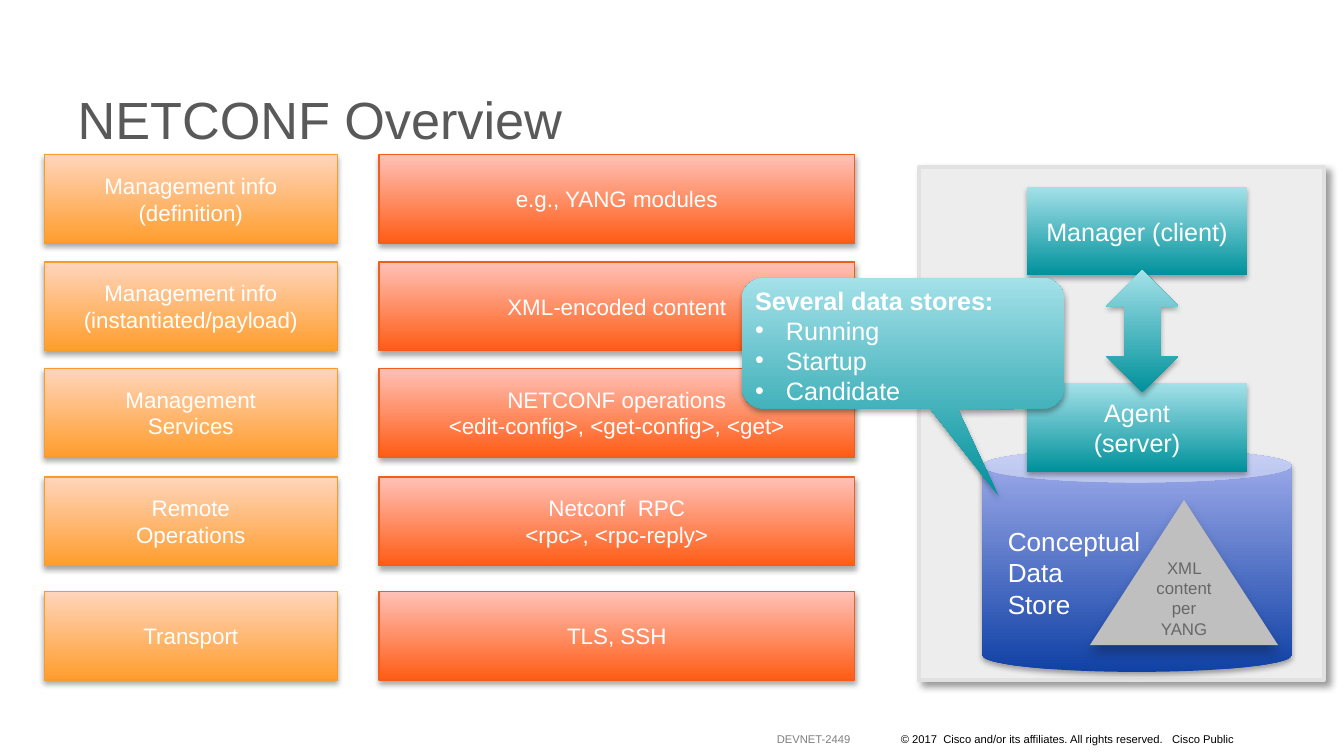
"""Build the NETCONF overview slide: layer table, client/server stack and data stores."""
import math

from lxml import etree
from pptx import Presentation
from pptx.dml.color import RGBColor
from pptx.enum import shapes, text
from pptx.oxml import ns
from pptx.util import Inches, Pt

FONT = "Arial"
WHITE = "FFFFFF"
KIND = shapes.MSO_SHAPE
ALIGN = text.PP_ALIGN
ANCHOR = text.MSO_ANCHOR

ORANGE = ("FF9D2D", "FFD5BC")
RED = ("FF5C15", "FFC1B7")
TEAL = ("00919B", "A4E1E9")
BLUE = ("1041A5", "A3AFED")

SOFT = ("000000", 35, 3.1, 1.8, 90)
PANEL_SHADOW = ("000000", 40, 4, 3, 45)
TRIANGLE_SHADOW = ("000000", 27, 6, 4, 90)

ROW_HEIGHT = 0.66
ROWS = [
    (1.15, ["Management info", "(definition)"], ["e.g., YANG modules"]),
    (1.95, ["Management info", "(instantiated/payload)"], ["XML-encoded content"]),
    (2.74, ["Management", "Services"],
     ["NETCONF operations", "<edit-config>, <get-config>, <get>"]),
    (3.55, ["Remote", "Operations"], ["Netconf  RPC", "<rpc>, <rpc-reply>"]),
    (4.4, ["Transport"], ["TLS, SSH"]),
]
COLUMNS = [(0.33, 2.18, ORANGE, "F89A2D"), (2.82, 3.54, RED, "F25D1C")]

CALLOUT = (5.52, 2.07, 7.92, 3.04)
CALLOUT_RADIUS = 0.16
CALLOUT_TAIL = [(7.13, 3.05), (7.43, 3.69), (6.92, 3.04)]
STORES_HEADING = "Several data stores:"
STORES = ["Running", "Startup", "Candidate"]

FOOTERS = [
    ((5.71, 5.41, 0.78, 0.17), "DEVNET-2449", "7F7F7F", ALIGN.LEFT),
    ((6.55, 5.41, 2.7, 0.17),
     "© 2017  Cisco and/or its affiliates. All rights reserved.   Cisco Public",
     "000000", ALIGN.RIGHT),
]


def rgb(code):
    """Turn a hex string into a colour."""
    return RGBColor.from_string(code)


def add_shadow(shape, color, alpha, blur, distance, angle):
    """Give a shape an outer shadow."""
    shape.shadow.inherit = False
    effects = shape._element.spPr.find(ns.qn("a:effectLst"))
    outer = etree.SubElement(
        effects, ns.qn("a:outerShdw"), blurRad=str(Pt(blur)), dist=str(Pt(distance)),
        dir=str(angle * 60000), rotWithShape="0")
    tint = etree.SubElement(outer, ns.qn("a:srgbClr"), val=color)
    etree.SubElement(tint, ns.qn("a:alpha"), val=str(alpha * 1000))


def style(shape, fill, shadow=SOFT, line=None, weight=0.75):
    """Set fill, outline and shadow; a pair of colours runs from bottom to top."""
    if isinstance(fill, tuple):
        shape.fill.gradient()
        shape.fill.gradient_angle = 90
        for stop, code in zip(shape.fill.gradient_stops, fill):
            stop.color.rgb = rgb(code)
    else:
        shape.fill.solid()
        shape.fill.fore_color.rgb = rgb(fill)
    if line:
        shape.line.color.rgb = rgb(line)
        shape.line.width = Pt(weight)
    else:
        shape.line.fill.background()
    add_shadow(shape, *shadow)


def add_bullet(para):
    """Put a hanging bullet before a paragraph."""
    properties = para._p.get_or_add_pPr()
    properties.set("marL", str(Inches(0.23)))
    properties.set("indent", str(Inches(-0.23)))
    etree.SubElement(properties, ns.qn("a:buFont"), typeface=FONT)
    etree.SubElement(properties, ns.qn("a:buChar"), char="•")


def write(shape, lines, size, color=WHITE, align=ALIGN.CENTER, anchor=ANCHOR.MIDDLE,
          wrap=True):
    """Write one paragraph per line and return the paragraphs."""
    frame = shape.text_frame
    frame.word_wrap = wrap
    frame.vertical_anchor = anchor
    paras = []
    for index, line in enumerate(lines):
        para = frame.add_paragraph() if index else frame.paragraphs[0]
        para.alignment = align
        for part, words in enumerate(line.split("\n")):
            if part:
                para.add_line_break()
            span = para.add_run()
            span.text = words
            span.font.name = FONT
            span.font.size = Pt(size)
            span.font.color.rgb = rgb(color)
        paras.append(para)
    return paras


def add_shape(page, kind, at, fill, **looks):
    """Add a styled preset shape."""
    shape = page.shapes.add_shape(kind, *map(Inches, at))
    style(shape, fill, **looks)
    return shape


def add_box(page, at):
    """Add an empty text box."""
    return page.shapes.add_textbox(*map(Inches, at))


def callout_outline():
    """Return the rounded outline, clockwise, with the tail on the bottom edge."""
    left, top, right, bottom = CALLOUT
    radius = CALLOUT_RADIUS
    corners = [(left + radius, top + radius, 180), (right - radius, top + radius, 270),
               (right - radius, bottom - radius, 0), (left + radius, bottom - radius, 90)]
    points = []
    for x, y, start in corners:
        if start == 90:
            points += CALLOUT_TAIL
        for step in range(0, 91, 6):
            turn = math.radians(start + step)
            points.append((x + radius * math.cos(turn), y + radius * math.sin(turn)))
    return [(Inches(x), Inches(y)) for x, y in points]


def add_callout(page):
    """Add the data store callout with its bulleted list."""
    first, *others = callout_outline()
    builder = page.shapes.build_freeform(*first)
    builder.add_line_segments(others, close=True)
    callout = builder.convert_to_shape()
    style(callout, TEAL)
    heading, *items = write(callout, [STORES_HEADING, *STORES], 13.5,
                            align=ALIGN.LEFT, anchor=ANCHOR.TOP)
    heading.runs[0].font.bold = True
    for item in items:
        add_bullet(item)


def add_layers(page):
    """Add the protocol layers and their examples."""
    for top, *cells in ROWS:
        for (left, width, fill, line), lines in zip(COLUMNS, cells):
            cell = add_shape(page, KIND.RECTANGLE, (left, top, width, ROW_HEIGHT), fill,
                             line=line)
            write(cell, lines, 12)


def add_stack(page):
    """Add the manager, agent and conceptual data store."""
    manager = add_shape(page, KIND.RECTANGLE, (7.64, 1.39, 1.64, ROW_HEIGHT), TEAL)
    write(manager, ["Manager (client)"], 13.5)
    store = add_shape(page, KIND.CAN, (7.31, 3.34, 2.3, 1.66), BLUE)
    store.adjustments[0] = 0.15
    content = add_shape(page, KIND.ISOSCELES_TRIANGLE, (8.11, 3.72, 1.4, 1.08), "BFBFBF",
                        shadow=TRIANGLE_SHADOW)
    write(content, ["XML content per YANG"], 9, "676767", anchor=ANCHOR.BOTTOM)
    label = add_box(page, (7.4, 3.86, 1.19, 0.81))
    write(label, ["Conceptual", "Data \nStore"], 14, align=ALIGN.LEFT, anchor=ANCHOR.TOP,
          wrap=False)
    agent = add_shape(page, KIND.RECTANGLE, (7.64, 2.85, 1.64, ROW_HEIGHT), TEAL)
    write(agent, ["Agent", "(server)"], 13.5)


def main():
    """Assemble and save the deck."""
    deck = Presentation()
    deck.slide_width = Inches(10)
    deck.slide_height = Inches(10 * 9 / 16)
    page = deck.slides.add_slide(deck.slide_layouts[6])

    title = add_box(page, (0.48, 0.37, 9.13, 0.8))
    heading, = write(title, ["NETCONF Overview"], 28, "595959", ALIGN.LEFT, ANCHOR.BOTTOM)
    heading.line_spacing = 0.9

    add_shape(page, KIND.RECTANGLE, (6.84, 1.24, 3.01, 3.82), "EDEDED",
              shadow=PANEL_SHADOW, line="E1E1E1", weight=2)
    add_layers(page)
    add_stack(page)
    add_callout(page)
    add_shape(page, KIND.UP_DOWN_ARROW, (8.23, 2.01, 0.54, 0.91), TEAL)

    for at, words, color, align in FOOTERS:
        footer = add_box(page, at)
        write(footer, [words], 6, color, align, ANCHOR.BOTTOM)
        frame = footer.text_frame
        frame.margin_left = frame.margin_right = Inches(0.07)
        frame.margin_top = frame.margin_bottom = Inches(0.03)

    deck.save("out.pptx")


if __name__ == "__main__":
    main()
